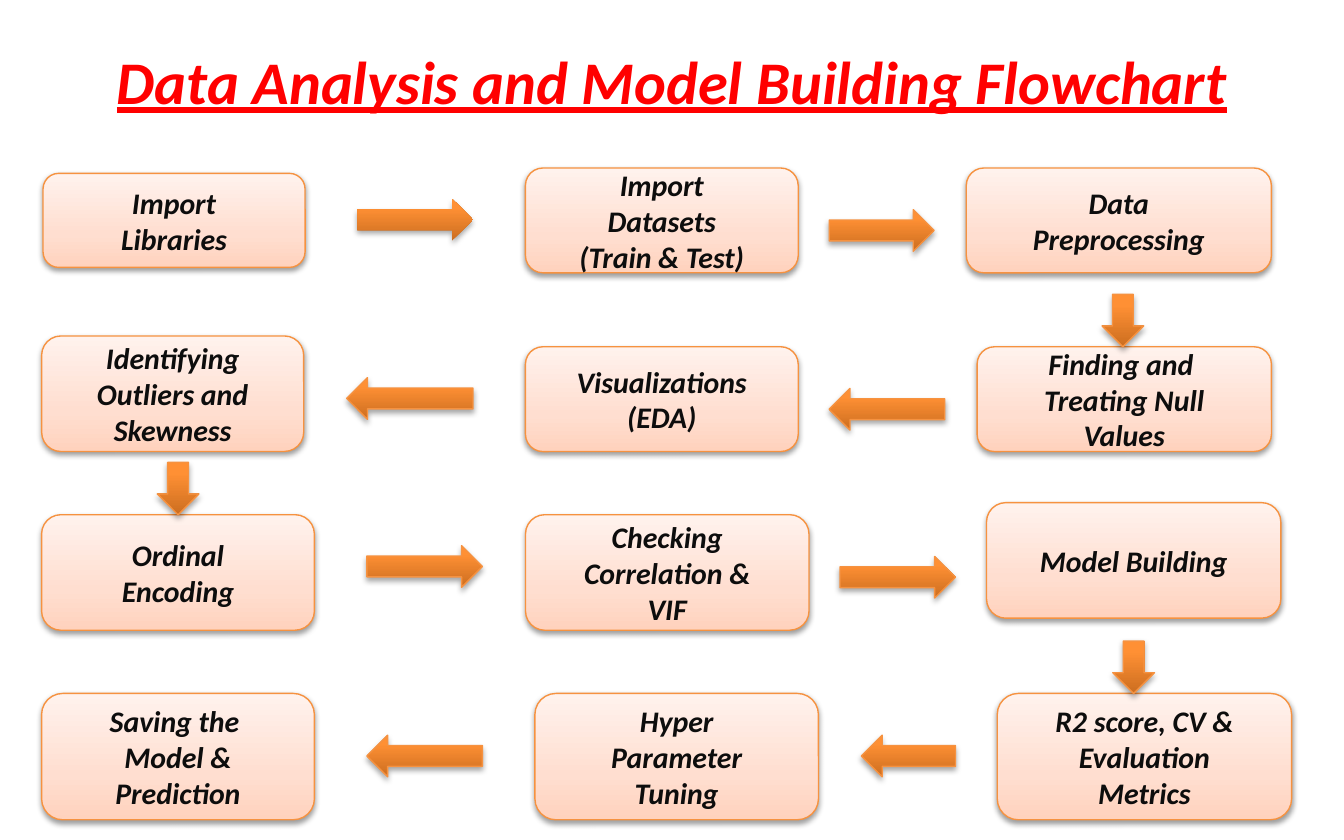
from typing import NamedTuple

from lxml.etree import SubElement
from pptx import Presentation
from pptx.dml.color import RGBColor
from pptx.enum.shapes import MSO_SHAPE
from pptx.enum.text import MSO_ANCHOR, PP_ALIGN
from pptx.oxml.ns import qn
from pptx.util import Inches, Pt

RIGHT = MSO_SHAPE.RIGHT_ARROW
LEFT = MSO_SHAPE.LEFT_ARROW
DOWN = MSO_SHAPE.DOWN_ARROW
EDGE = "F69240"


class Look(NamedTuple):
    stops: tuple  # (percent, colour), from bottom to top
    shade: int  # shadow opacity in percent
    drop: float  # shadow distance in points


class Step(NamedTuple):
    text: str
    left: float
    top: float
    width: float
    height: float


class Arrow(NamedTuple):
    kind: MSO_SHAPE
    left: float
    top: float
    length: float
    edge: bool = True


CARD = Look(((0, "FFD2BD"), (35, "FFDED0"), (100, "FFF2ED")), 38, 1.6)
DART = Look(((0, "CC6E20"), (80, "FF9034"), (100, "FF9136")), 35, 1.8)
THICK = 0.31  # arrow breadth

STEPS = [
    # Row 1
    Step("Import\nLibraries", 0.32, 1.29, 1.95, 0.7),
    Step("Import\nDatasets\n(Train & Test)", 3.91, 1.25, 2.03, 0.78),
    Step("Data\nPreprocessing", 7.19, 1.25, 2.27, 0.78),
    # Row 2, read from right to left
    Step("Finding and \nTreating Null\nValues", 7.27, 2.58, 2.19, 0.78),
    Step("Visualizations\n(EDA)", 3.91, 2.58, 2.03, 0.78),
    Step("Identifying\nOutliers and\nSkewness", 0.31, 2.5, 1.95, 0.86),
    # Row 3
    Step("Ordinal\nEncoding", 0.31, 3.83, 2.03, 0.86),
    Step("Checking\nCorrelation &\nVIF", 3.91, 3.83, 2.11, 0.86),
    Step("Model Building", 7.34, 3.74, 2.19, 0.86),
    # Row 4, read from right to left
    Step("R2 score, CV &\nEvaluation\nMetrics", 7.42, 5.16, 2.19, 0.94),
    Step("Hyper\nParameter\nTuning", 3.98, 5.16, 2.11, 0.94),
    Step("Saving the \nModel &\nPrediction", 0.31, 5.16, 2.03, 0.94),
]

ARROWS = [
    Arrow(RIGHT, 2.66, 1.48, 0.86, edge=False),
    Arrow(RIGHT, 6.17, 1.56, 0.78),
    Arrow(DOWN, 8.2, 2.19, 0.39),
    Arrow(LEFT, 6.17, 2.89, 0.86),
    Arrow(LEFT, 2.58, 2.81, 0.94),
    Arrow(DOWN, 1.17, 3.44, 0.39),
    Arrow(RIGHT, 2.73, 4.06, 0.86),
    Arrow(RIGHT, 6.25, 4.14, 0.86),
    Arrow(DOWN, 8.28, 4.77, 0.39),
    Arrow(LEFT, 6.41, 5.47, 0.7),
    Arrow(LEFT, 2.73, 5.47, 0.86),
]


def color(code: str) -> RGBColor:
    return RGBColor.from_string(code)


def write(shape, text: str, *, size: float, ink: str, under: bool = False) -> None:
    """Fill a shape with centred bold italic lines, one paragraph each."""
    frame = shape.text_frame
    frame.word_wrap = True
    frame.vertical_anchor = MSO_ANCHOR.MIDDLE
    frame.text = text
    for para in frame.paragraphs:
        para.alignment = PP_ALIGN.CENTER
        for run in para.runs:
            font = run.font
            font.name, font.size = "Calibri", Pt(size)
            font.bold = font.italic = True
            font.underline = under
            font.color.rgb = color(ink)


def add_color(parent, code: str):
    return SubElement(parent, qn("a:srgbClr"), val=code)


def paint(shape, look: Look, edge: bool = True) -> None:
    """Give a shape its gradient, outline and soft shadow."""
    shape.fill.gradient()
    shape.fill.gradient_angle = 90
    props = shape._element.spPr
    stops = props.find(qn("a:gradFill")).find(qn("a:gsLst"))
    for old in list(stops):
        stops.remove(old)
    for place, code in look.stops:
        add_color(SubElement(stops, qn("a:gs"), pos=str(place * 1000)), code)

    if edge:
        shape.line.color.rgb = color(EDGE)
        shape.line.width = Pt(0.75)
    else:
        shape.line.fill.background()

    shape.shadow.inherit = False
    cast = SubElement(
        props.find(qn("a:effectLst")), qn("a:outerShdw"),
        blurRad=str(Pt(3.1)), dist=str(Pt(look.drop)), dir="5400000", rotWithShape="0",
    )
    SubElement(add_color(cast, "000000"), qn("a:alpha"), val=str(look.shade * 1000))


def draw_step(slide, step: Step) -> None:
    box = slide.shapes.add_shape(MSO_SHAPE.ROUNDED_RECTANGLE, *map(Inches, step[1:]))
    paint(box, CARD)
    write(box, step.text, size=16, ink="0D0D0D")


def draw_arrow(slide, arrow: Arrow) -> None:
    size = (THICK, arrow.length) if arrow.kind == DOWN else (arrow.length, THICK)
    place = map(Inches, (arrow.left, arrow.top, *size))
    paint(slide.shapes.add_shape(arrow.kind, *place), DART, arrow.edge)


def main() -> None:
    deck = Presentation()
    deck.slide_width, deck.slide_height = Inches(10), Inches(6.25)
    slide = deck.slides.add_slide(deck.slide_layouts[6])

    # Title
    title = slide.shapes.add_textbox(Inches(0.5), Inches(0.25), Inches(9), Inches(0.69))
    write(title, "Data Analysis and Model Building Flowchart",
          size=32.4, ink="FF0000", under=True)

    # Flowchart
    for step in STEPS:
        draw_step(slide, step)
    for arrow in ARROWS:
        draw_arrow(slide, arrow)

    deck.save("out.pptx")


if __name__ == "__main__":
    main()
